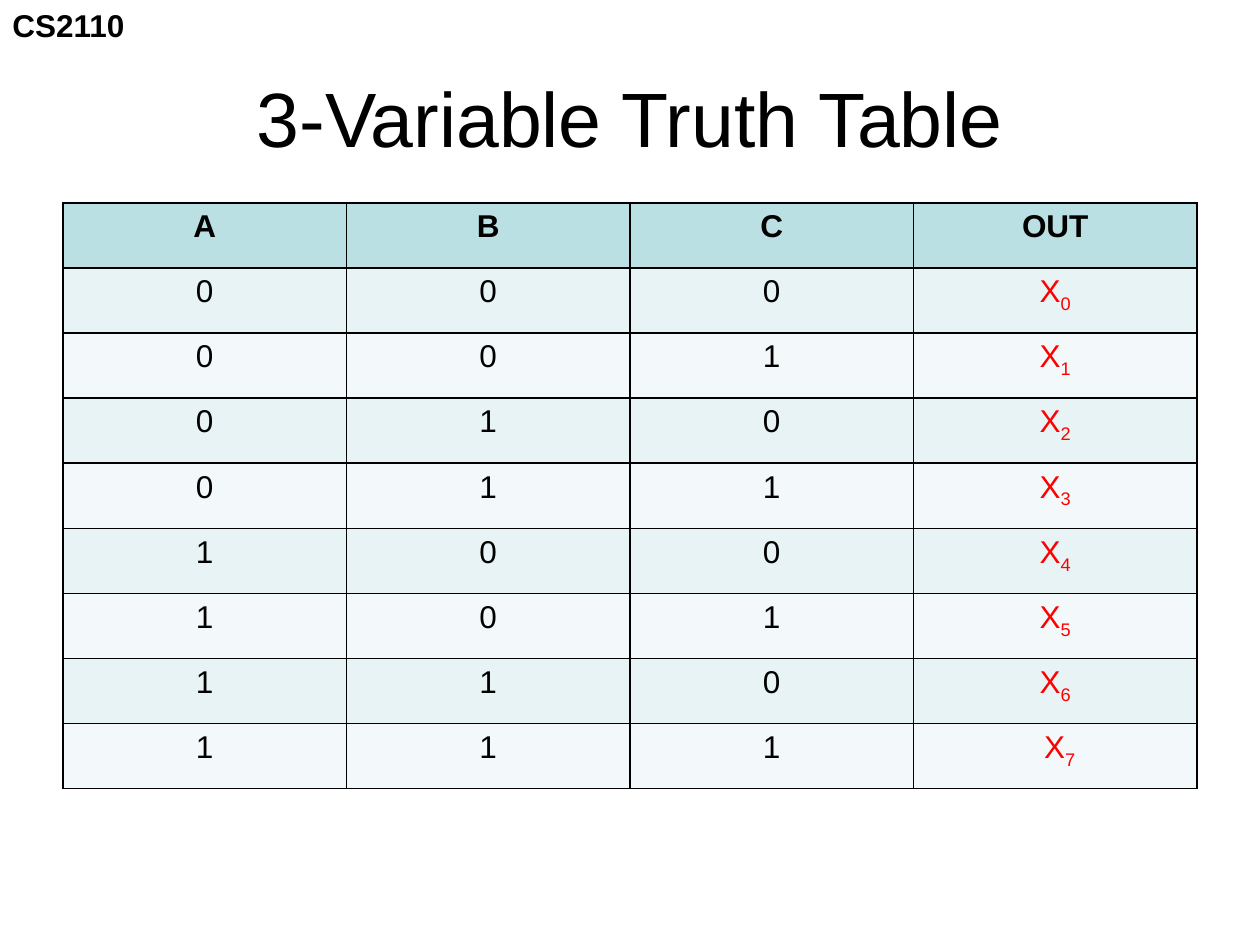
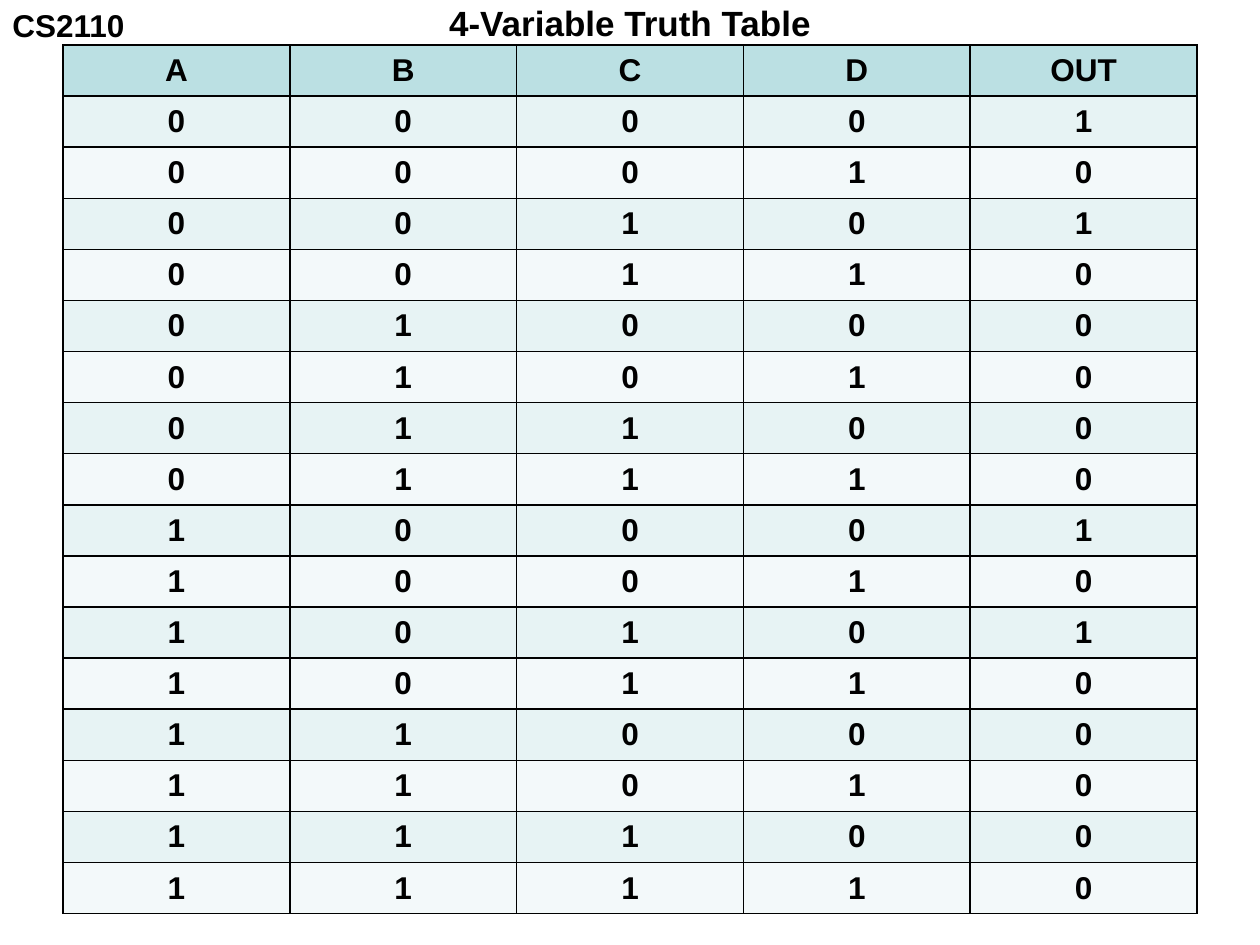
import itertools

import pptx
import pptx.dml.color
import pptx.enum.text
import pptx.oxml
import pptx.oxml.ns
import pptx.util
from pptx.util import Pt

COLORS = {
    "text": "000000",
    "output": "FF0000",
    "header": "BBE0E3",
    "odd_row": "E7F3F4",
    "even_row": "F3F9FA",
    "border": "000000",
}
FONT = "Arial"
MARGIN = 36
CONTENT_WIDTH = 648
TABLE_TEXT_SIZE = 18
TITLE_ONLY = 5
CENTER = pptx.enum.text.PP_ALIGN.CENTER
MIDDLE = pptx.enum.text.MSO_ANCHOR.MIDDLE
TOP = pptx.enum.text.MSO_ANCHOR.TOP


def rgb(name):
    return pptx.dml.color.RGBColor.from_string(COLORS[name])


def style_runs(paragraph, size, bold=False, color="text"):
    for run in paragraph.runs:
        run.font.name = FONT
        run.font.size = Pt(size)
        run.font.bold = bold
        run.font.color.rgb = rgb(color)


def add_course_label(slide):
    label = slide.shapes.add_textbox(Pt(0), Pt(0), Pt(79.2), Pt(28.8))
    frame = label.text_frame
    frame.word_wrap = False
    frame.auto_size = pptx.enum.text.MSO_AUTO_SIZE.SHAPE_TO_FIT_TEXT
    frame.text = "CS2110"
    style_runs(frame.paragraphs[0], 18, bold=True)


def set_title(slide, text, top, height, size, bold=False):
    title = slide.shapes.title
    title.left, title.top = Pt(MARGIN), Pt(top)
    title.width, title.height = Pt(CONTENT_WIDTH), Pt(height)
    frame = title.text_frame
    frame.text = text
    frame.auto_size = pptx.enum.text.MSO_AUTO_SIZE.NONE
    frame.vertical_anchor = MIDDLE
    frame.paragraphs[0].alignment = CENTER
    style_runs(frame.paragraphs[0], size, bold)


def add_borders(cell):
    properties = cell._tc.get_or_add_tcPr()
    for side in ("lnL", "lnR", "lnT", "lnB"):
        properties.append(pptx.oxml.parse_xml(
            f'<a:{side} {pptx.oxml.ns.nsdecls("a")} w="{Pt(1)}"><a:solidFill>'
            f'<a:srgbClr val="{COLORS["border"]}"/></a:solidFill></a:{side}>'))


def fill_cell(cell, text, fill, bold, anchor, color="text", subscript=""):
    add_borders(cell)
    cell.fill.solid()
    cell.fill.fore_color.rgb = rgb(fill)
    cell.vertical_anchor = anchor
    paragraph = cell.text_frame.paragraphs[0]
    paragraph.text = text
    paragraph.alignment = CENTER
    if subscript:
        index = paragraph.add_run()
        index.text = subscript
        index._r.get_or_add_rPr().set("baseline", "-25000")
    style_runs(paragraph, TABLE_TEXT_SIZE, bold, color)


def add_truth_table(slide, variables, outputs, top, row_height,
                    bold=False, anchor=TOP, numbered=False):
    """List every input combination; numbered outputs are red with a subscript."""
    row_count, column_count = len(outputs) + 1, len(variables) + 1
    table = slide.shapes.add_table(
        row_count, column_count, Pt(MARGIN), Pt(top),
        Pt(CONTENT_WIDTH), Pt(row_height * row_count)).table
    table.first_row = table.horz_banding = False
    for column in table.columns:
        column.width = Pt(CONTENT_WIDTH / column_count)
    for row in table.rows:
        row.height = Pt(row_height)

    for column, heading in enumerate([*variables, "OUT"]):
        fill_cell(table.cell(0, column), heading, "header", True, anchor)
    combinations = itertools.product("01", repeat=len(variables))
    for number, (inputs, output) in enumerate(zip(combinations, outputs)):
        fill = "even_row" if number % 2 else "odd_row"
        for column, bit in enumerate(inputs):
            fill_cell(table.cell(number + 1, column), bit, fill, bold, anchor)
        fill_cell(table.cell(number + 1, len(variables)), output, fill, bold, anchor,
                  color="output" if numbered else "text",
                  subscript=str(number) if numbered else "")


def add_slide(deck):
    slide = deck.slides.add_slide(deck.slide_layouts[TITLE_ONLY])
    add_course_label(slide)
    return slide


def main():
    deck = pptx.Presentation()
    deck.slide_width, deck.slide_height = Pt(720), Pt(540)

    three_variables = add_slide(deck)
    set_title(three_variables, "3-Variable Truth Table", top=21.6, height=90, size=44)
    add_truth_table(three_variables, "ABC", ["X"] * 7 + [" X"], top=115.92,
                    row_height=37.2, numbered=True)

    four_variables = add_slide(deck)
    set_title(four_variables, "4-Variable Truth Table", top=0, height=26, size=20, bold=True)
    add_truth_table(four_variables, "ABCD", "1010000010100000", top=25.7,
                    row_height=29.2, bold=True, anchor=MIDDLE)

    deck.save("out.pptx")


if __name__ == "__main__":
    main()
